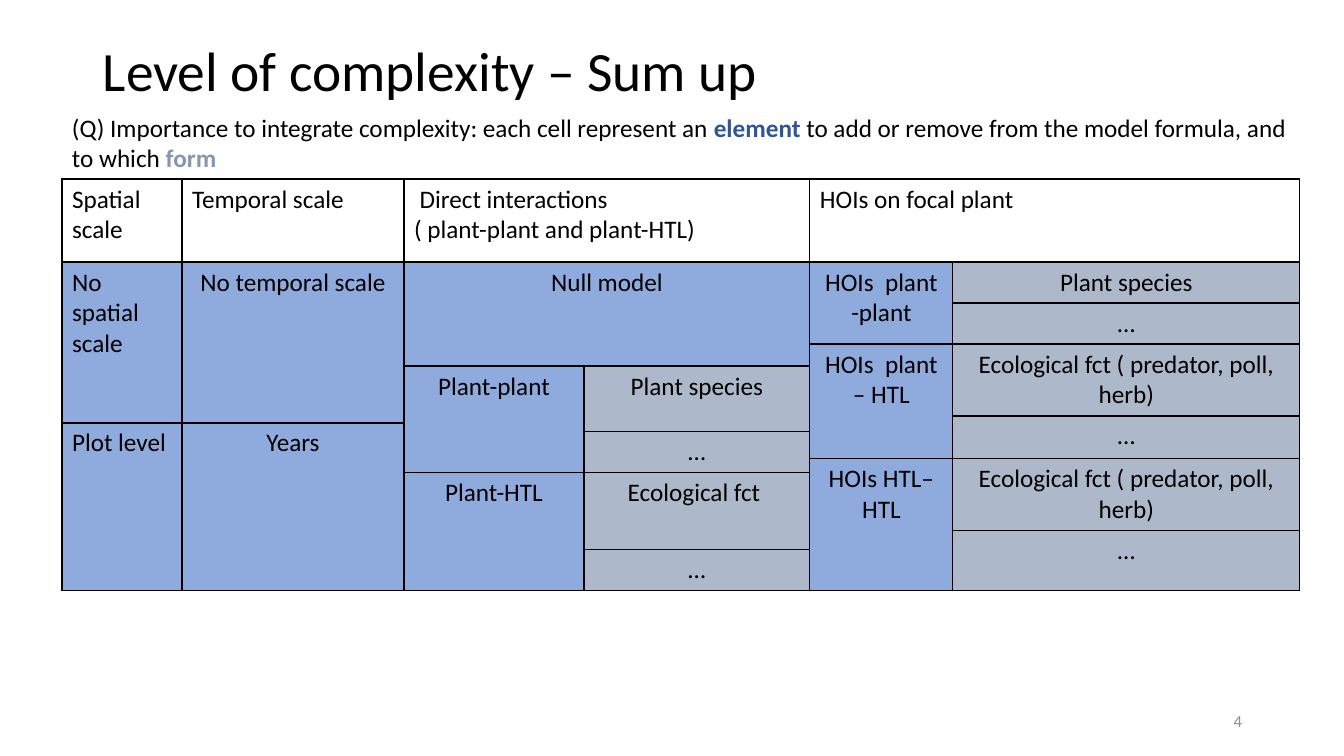
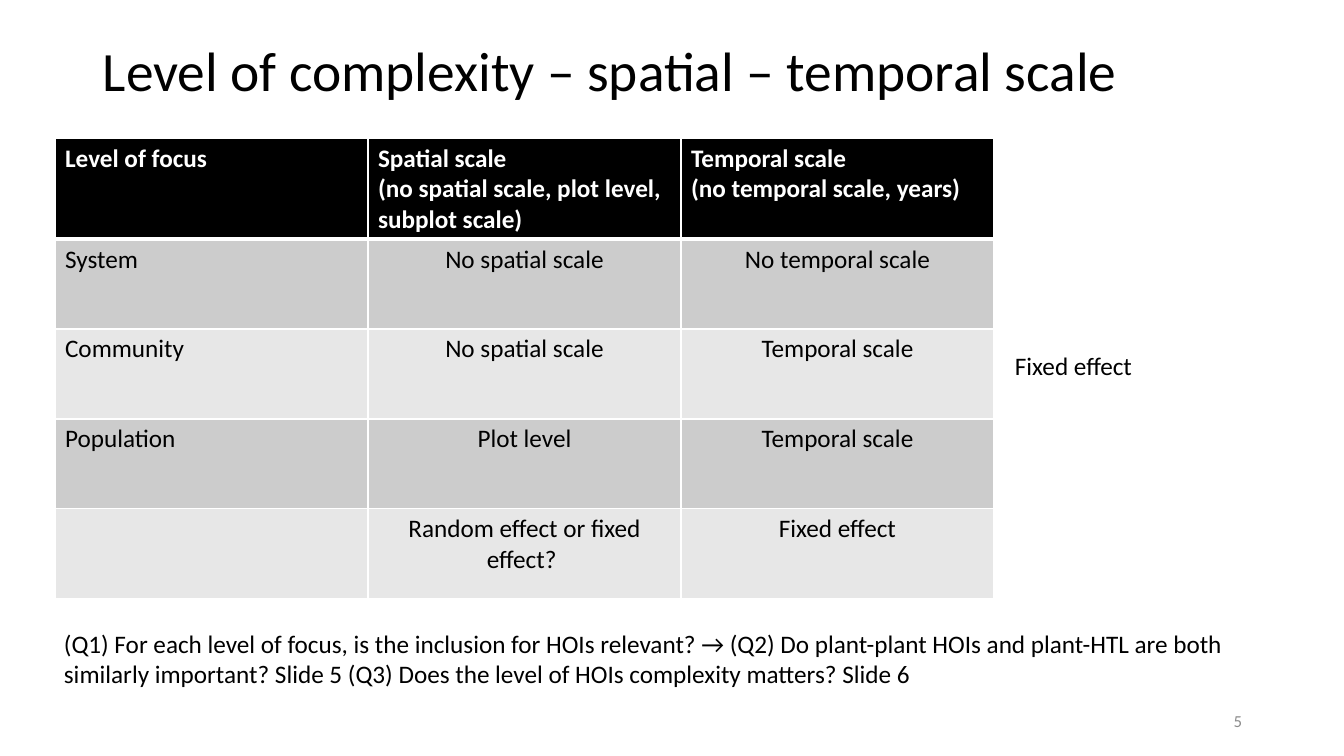
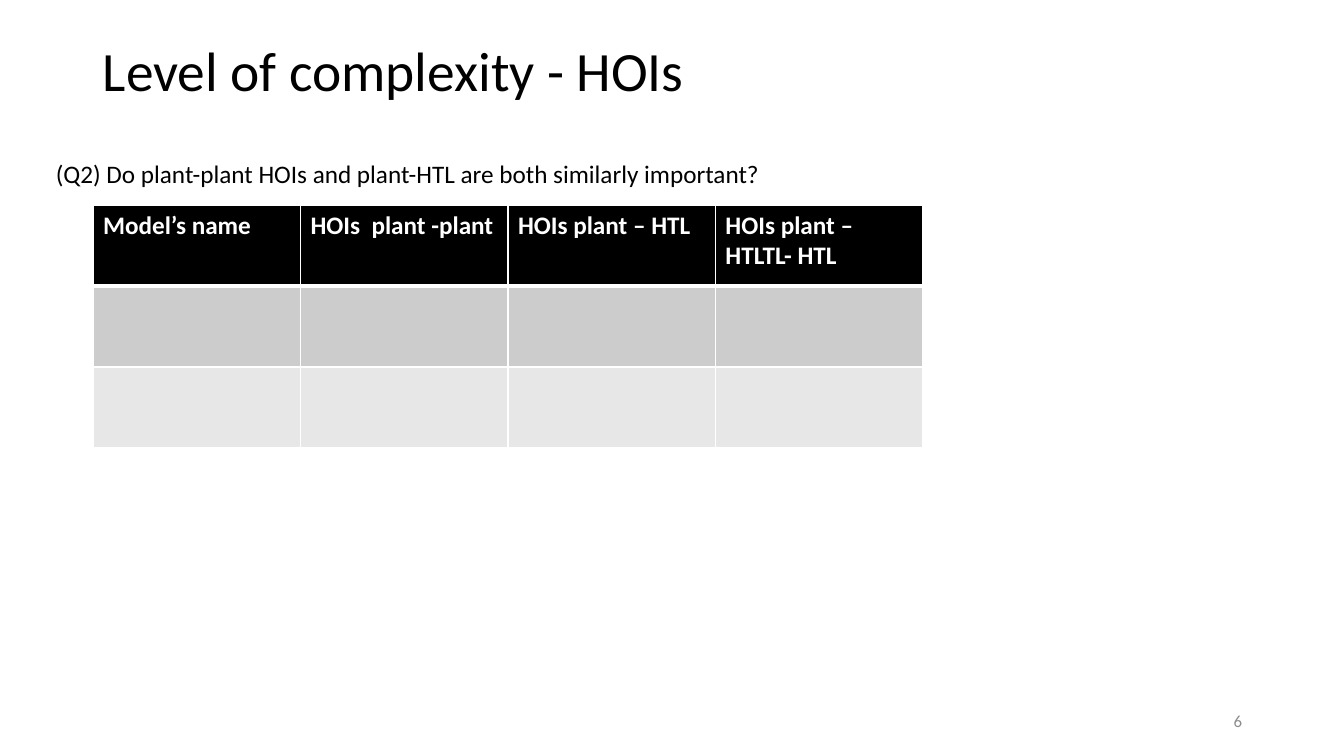
from itertools import product

from lxml.etree import SubElement
from pptx import Presentation
from pptx.dml.color import RGBColor
from pptx.enum.text import MSO_ANCHOR, PP_ALIGN
from pptx.oxml.ns import qn
from pptx.util import Pt

PX = 914400 / 100.8
FONT = "Calibri"
COLORS = {
    "text": "000000", "white": "FFFFFF", "number": "8C8C8C",
    "element": "2F5597", "form": "8497B0",
    "blue": "8FAADC", "slate": "ADB9CA",
    "header": "000000", "odd": "CCCCCC", "even": "E7E7E7",
}
BODY = {"size": 18, "color": "text", "bold": False}
TITLE = {"size": 39.6, "color": "text", "bold": False}
NUMBER = {"size": 12, "color": "number", "bold": False}


def add_text(s, box, runs, style=BODY, align=PP_ALIGN.LEFT, anchor=MSO_ANCHOR.TOP,
             spacing=1.0, wrap=True):
    """Add a one-paragraph text box; runs are (text, changes to style) pairs."""
    tf = s.shapes.add_textbox(*[round(v * PX) for v in box]).text_frame
    for name, value in {"word_wrap": wrap, "vertical_anchor": anchor}.items():
        setattr(tf, name, value)
    p = tf.paragraphs[0]
    p.alignment, p.line_spacing = align, spacing
    for text, changes in runs:
        r = p.add_run()
        r.text = text
        look = {**style, **changes}
        for name, value in {"name": FONT, "size": Pt(look["size"]), "bold": look["bold"]}.items():
            setattr(r.font, name, value)
        r.font.color.rgb = RGBColor.from_string(COLORS[look["color"]])


def add_table(s, left, top, cols, rows, cells, fills, line):
    """Add a table of (row, col, row span, col span, text) cells; fills(row, col) names a colour."""
    box = [round(v * PX) for v in (left, top, sum(cols), sum(rows))]
    table = s.shapes.add_table(len(rows), len(cols), *box).table
    table.first_row = table.horz_banding = False
    for col, width in zip(table.columns, cols):
        col.width = round(width * PX)
    for row, height in zip(table.rows, rows):
        row.height = round(height * PX)

    filled_header = fills(0, 0) is not None
    for r, c in product(range(len(rows)), range(len(cols))):
        cell = table.cell(r, c)
        tcPr = cell._tc.get_or_add_tcPr()
        for side in "LRTB":
            thick = filled_header and (r, side) in ((0, "B"), (1, "T"))
            ln = SubElement(tcPr, qn(f"a:ln{side}"), w=str(Pt(3 if thick else 1)))
            SubElement(SubElement(ln, qn("a:solidFill")), qn("a:srgbClr"), val=COLORS[line])
        fill = fills(r, c)
        if fill:
            cell.fill.solid()
            cell.fill.fore_color.rgb = RGBColor.from_string(COLORS[fill])
        else:
            cell.fill.background()

    for r, c, height, width, text in cells:
        cell = table.cell(r, c)
        if height * width > 1:
            cell.merge(table.cell(r + height - 1, c + width - 1))
        cell.text_frame.text = text
        bold = filled_header and r == 0
        color = COLORS["white" if bold else "text"]
        for p in cell.text_frame.paragraphs:
            p.alignment = PP_ALIGN.CENTER if r and c else PP_ALIGN.LEFT
            for name, value in {"name": FONT, "size": Pt(18), "bold": bold}.items():
                setattr(p.font, name, value)
                for run in p.runs:
                    setattr(run.font, name, value)
            for run in p.runs:
                run.font.color.rgb = RGBColor.from_string(color)


def banded(r, c):
    return "header" if r == 0 else "odd" if r % 2 else "even"


def nested(r, c):
    return None if r == 0 else "slate" if c in (3, 5) else "blue"


prs = Presentation()
prs.slide_width, prs.slide_height = round(1344 * PX), round(756 * PX)

titles = [
    "Level of complexity – Sum up",
    "Level of complexity – spatial – temporal scale",
    "Level of complexity - HOIs",
]
slides = []
for number, title in enumerate(titles, start=4):
    s = prs.slides.add_slide(prs.slide_layouts[6])
    add_text(s, (93, 40, 1159, 67), [(title, {})], TITLE, anchor=MSO_ANCHOR.MIDDLE, spacing=0.9)
    add_text(s, (950, 701, 302, 40), [(str(number), {})], NUMBER,
             align=PP_ALIGN.RIGHT, anchor=MSO_ANCHOR.MIDDLE)
    slides.append(s)
sum_up, scales, hois = slides

# Sum up
add_text(sum_up, (62, 107, 1239, 72), [
    ("(Q) Importance to integrate complexity: each cell represent an ", {}),
    ("element", {"color": "element", "bold": True}),
    (" to add or remove from the model formula, and to which ", {}),
    ("form", {"color": "form", "bold": True}),
])
complexity = [
    (0, 0, 1, 1, "Spatial scale"),
    (0, 1, 1, 1, "Temporal scale"),
    (0, 2, 1, 2, " Direct interactions\n( plant-plant and plant-HTL)"),
    (0, 4, 1, 2, "HOIs on focal plant"),
    (1, 0, 5, 1, "No spatial scale"),
    (6, 0, 6, 1, "Plot level"),
    (1, 1, 5, 1, "No temporal scale"),
    (6, 1, 6, 1, "Years"),
    (1, 2, 3, 2, "Null model"),
    (4, 2, 5, 1, "Plant-plant"),
    (9, 2, 3, 1, "Plant-HTL"),
    (4, 3, 3, 1, "Plant species"),
    (7, 3, 2, 1, "…"),
    (9, 3, 2, 1, "Ecological fct "),
    (11, 3, 1, 1, "…"),
    (1, 4, 2, 1, "HOIs  plant -plant"),
    (3, 4, 5, 1, "HOIs  plant – HTL"),
    (8, 4, 4, 1, "HOIs HTL– HTL"),
    (1, 5, 1, 1, "Plant species"),
    (2, 5, 1, 1, "…"),
    (3, 5, 2, 1, "Ecological fct ( predator, poll, herb)"),
    (5, 5, 3, 1, "…"),
    (8, 5, 2, 1, "Ecological fct ( predator, poll, herb)"),
    (10, 5, 2, 1, "…"),
]
add_table(sum_up, 62, 179, [120, 222, 180, 226, 143, 347],
          [83, 41, 41, 22, 50, 7, 9, 27, 14, 58, 19, 40], complexity, nested, "text")

# Spatial and temporal scale
focus = [
    ["Level of focus", "Spatial scale\n(no spatial scale, plot level, subplot scale)",
     "Temporal scale\n(no temporal scale, years)"],
    ["System", "No spatial scale", "No temporal scale"],
    ["Community", "No spatial scale", "Temporal scale"],
    ["Population", "Plot level", "Temporal scale"],
    ["", "Random effect or fixed effect? ", "Fixed effect"],
]
focus_cells = [(r, c, 1, 1, text) for r, row in enumerate(focus) for c, text in enumerate(row)]
add_table(scales, 55, 138, [313] * 3, [101] + [90] * 4, focus_cells, banded, "white")
add_text(scales, (54, 623, 1235, 102), [(
    "(Q1) For each level of focus, is the inclusion for HOIs relevant? → (Q2) Do plant-plant HOIs "
    "and plant-HTL are both similarly important? Slide 5 (Q3) Does the level of HOIs complexity "
    "matters? Slide 6", {})])
add_text(scales, (1004, 345, 139, 40), [("Fixed effect", {})], align=PP_ALIGN.CENTER, wrap=False)

# HOIs
models = ["Model’s name", "HOIs  plant -plant", "HOIs plant – HTL", "HOIs plant – HTLTL- HTL"]
model_cells = [(0, c, 1, 1, text) for c, text in enumerate(models)]
add_table(hois, 93, 205, [830 / 4] * 4, [81, 81, 81], model_cells, banded, "white")
add_text(hois, (46, 153, 1252, 40),
         [("(Q2) Do plant-plant HOIs and plant-HTL are both similarly important?", {})])

prs.save("out.pptx")
